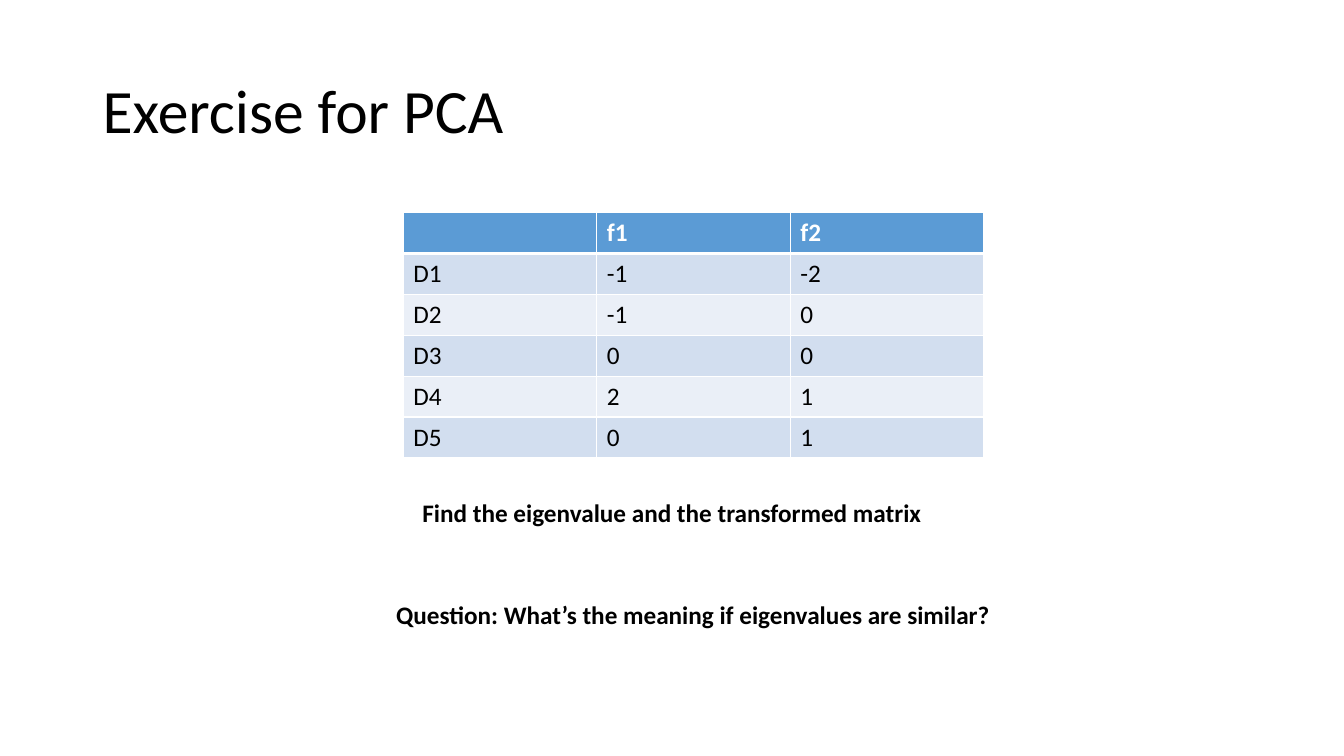
from dataclasses import dataclass

from lxml import etree
from pptx import Presentation
from pptx.dml.color import RGBColor
from pptx.enum.text import MSO_ANCHOR, PP_ALIGN
from pptx.oxml.ns import qn
from pptx.slide import Slide
from pptx.table import _Cell
from pptx.text.text import _Paragraph
from pptx.util import Inches, Pt

LEFT, CENTER = PP_ALIGN.LEFT, PP_ALIGN.CENTER
TOP, MIDDLE = MSO_ANCHOR.TOP, MSO_ANCHOR.MIDDLE
BLANK_LAYOUT = 6
SLIDE_WIDTH, SLIDE_HEIGHT = 13.33, 7.5


@dataclass(frozen=True)
class Theme:
    font: str = "Calibri"
    title_size: int = 44
    body_size: int = 18
    text: str = "000000"
    white: str = "FFFFFF"
    header: str = "5B9BD5"
    bands: tuple[str, str] = ("D2DEEF", "EAEFF7")
    border: int = 1
    header_border: int = 3


@dataclass(frozen=True)
class TextBlock:
    text: str
    left: float
    top: float
    width: float
    height: float
    size: int
    bold: bool = True
    alignment: PP_ALIGN = CENTER
    anchor: MSO_ANCHOR = TOP
    line_spacing: float = 1.0


@dataclass(frozen=True)
class Grid:
    left: float
    top: float
    column_width: float
    row_height: float


THEME = Theme()
TEXT_BLOCKS = (
    TextBlock("Exercise for PCA", 0.92, 0.4, 11.5, 1.45, THEME.title_size,
              bold=False, alignment=LEFT, anchor=MIDDLE, line_spacing=0.9),
    TextBlock("Find the eigenvalue and the transformed matrix",
              2.34, 4.88, 8.65, 0.4, THEME.body_size),
    TextBlock("Question: What’s the meaning if eigenvalues are similar?",
              2.55, 5.9, 8.65, 0.4, THEME.body_size),
)
DATA_GRID = Grid(left=4, top=2.11, column_width=1.92, row_height=0.4)
DATA_ROWS = (
    ("", "f1", "f2"),
    ("D1", "-1", "-2"),
    ("D2", "-1", "0"),
    ("D3", "0", "0"),
    ("D4", "2", "1"),
    ("D5", "0", "1"),
)


def style_paragraph(paragraph: _Paragraph, size: int, color: str, bold: bool) -> None:
    font = paragraph.font
    font.name = THEME.font
    font.size = Pt(size)
    font.bold = bold
    font.color.rgb = RGBColor.from_string(color)


def add_text_block(slide: Slide, block: TextBlock) -> None:
    shape = slide.shapes.add_textbox(
        Inches(block.left), Inches(block.top), Inches(block.width), Inches(block.height))
    frame = shape.text_frame
    frame.word_wrap = True
    frame.vertical_anchor = block.anchor
    paragraph = frame.paragraphs[0]
    paragraph.text = block.text
    paragraph.alignment = block.alignment
    paragraph.line_spacing = block.line_spacing
    style_paragraph(paragraph, block.size, THEME.text, block.bold)


def set_borders(cell: _Cell, top: int, bottom: int) -> None:
    """Draw all four cell borders, with widths in points; call before filling."""
    properties = cell._tc.get_or_add_tcPr()
    widths = {"a:lnL": THEME.border, "a:lnR": THEME.border, "a:lnT": top, "a:lnB": bottom}
    for tag, width in widths.items():
        line = etree.SubElement(properties, qn(tag), w=str(Pt(width)))
        fill = etree.SubElement(line, qn("a:solidFill"))
        etree.SubElement(fill, qn("a:srgbClr"), val=THEME.white)


def add_data_table(slide: Slide, grid: Grid, rows: tuple[tuple[str, ...], ...]) -> None:
    row_count, column_count = len(rows), len(rows[0])
    table = slide.shapes.add_table(
        row_count, column_count, Inches(grid.left), Inches(grid.top),
        Inches(grid.column_width * column_count), Inches(grid.row_height * row_count)).table
    for row_index, values in enumerate(rows):
        is_header = row_index == 0
        fill = THEME.header if is_header else THEME.bands[(row_index - 1) % 2]
        color = THEME.white if is_header else THEME.text
        top = THEME.header_border if row_index == 1 else THEME.border
        bottom = THEME.header_border if is_header else THEME.border
        for column_index, value in enumerate(values):
            cell = table.cell(row_index, column_index)
            set_borders(cell, top, bottom)
            cell.fill.solid()
            cell.fill.fore_color.rgb = RGBColor.from_string(fill)
            paragraph = cell.text_frame.paragraphs[0]
            paragraph.text = value
            style_paragraph(paragraph, THEME.body_size, color, is_header)


def main() -> None:
    presentation = Presentation()
    presentation.slide_width = Inches(SLIDE_WIDTH)
    presentation.slide_height = Inches(SLIDE_HEIGHT)
    slide = presentation.slides.add_slide(presentation.slide_layouts[BLANK_LAYOUT])
    add_data_table(slide, DATA_GRID, DATA_ROWS)
    for block in TEXT_BLOCKS:
        add_text_block(slide, block)
    presentation.save("out.pptx")


if __name__ == "__main__":
    main()
